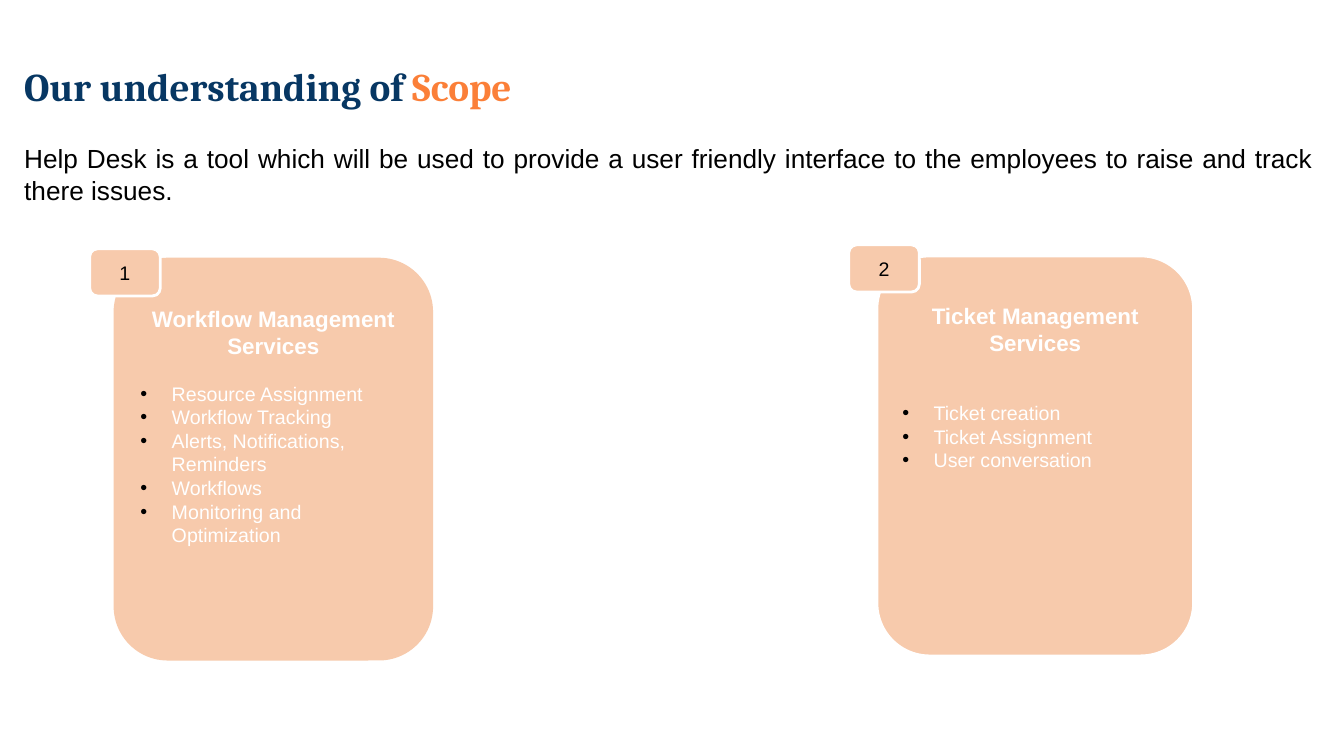
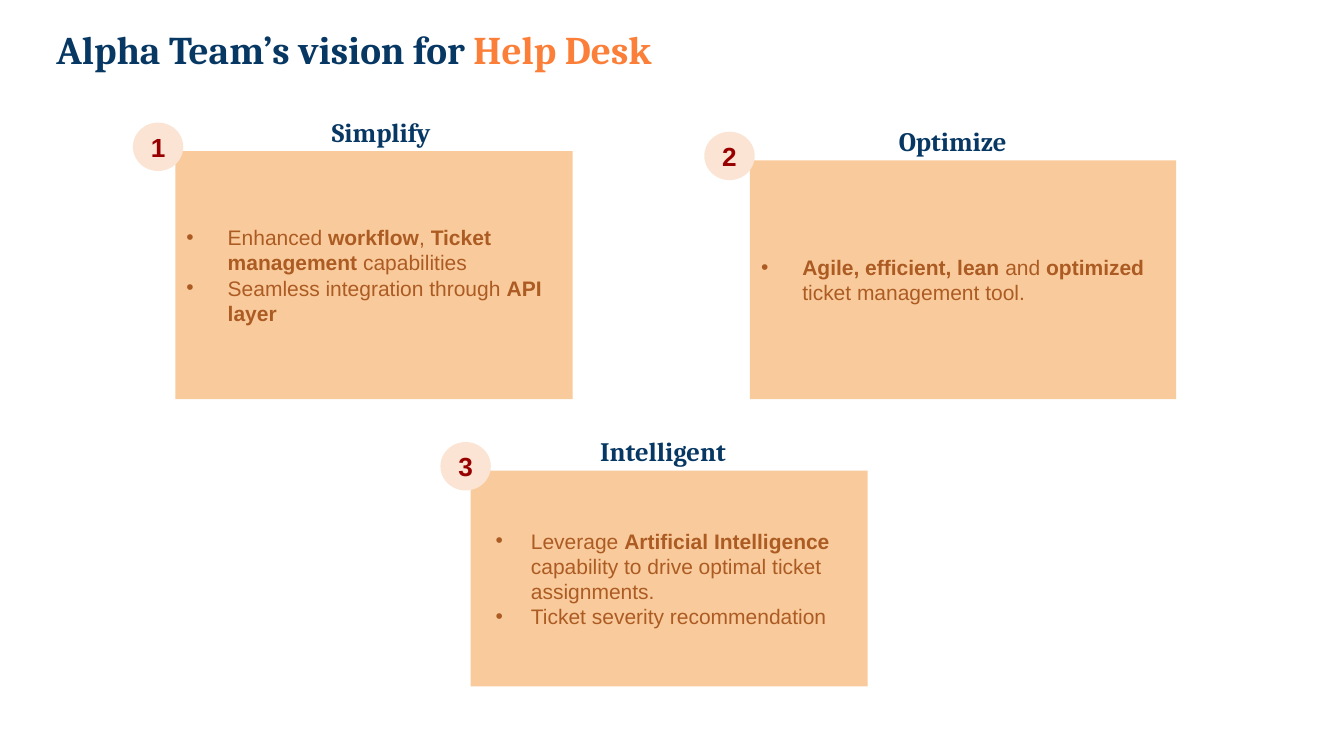
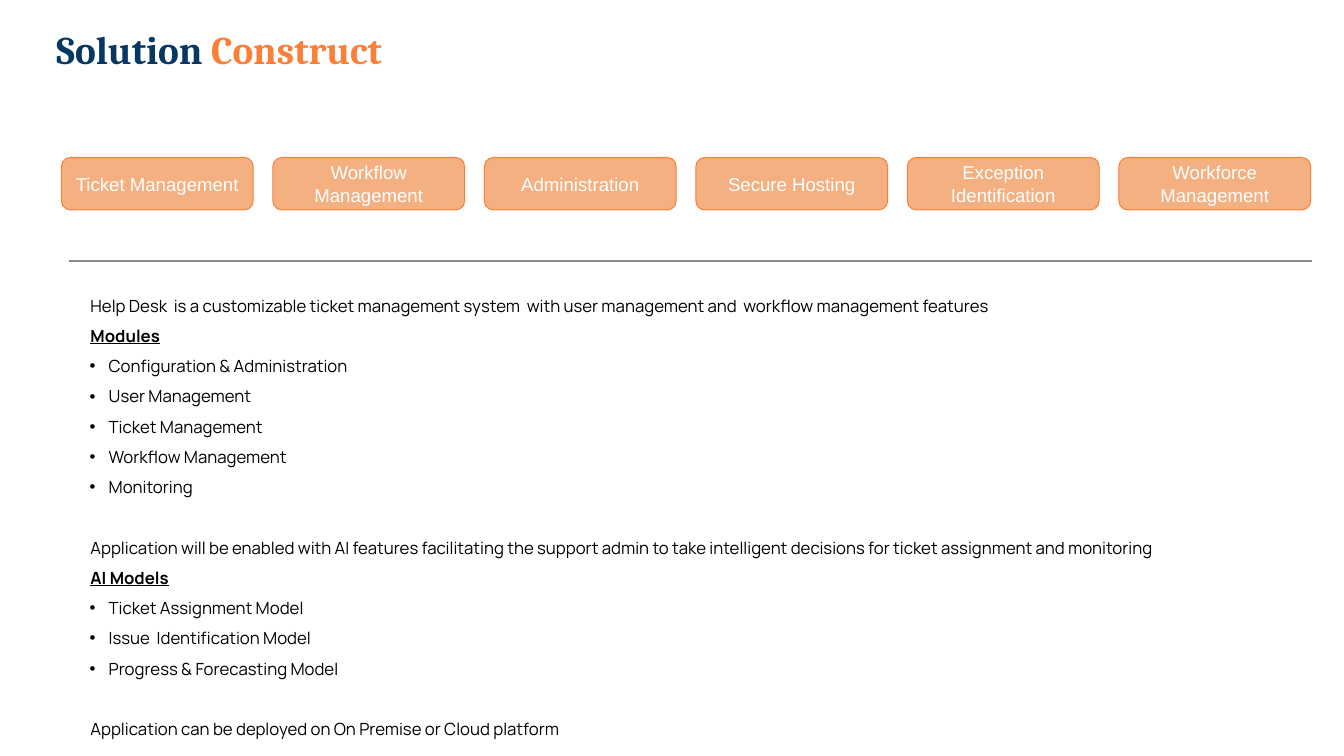
from dataclasses import dataclass
from lxml.etree import SubElement
from pptx import Presentation
from pptx.dml.color import RGBColor
from pptx.enum.shapes import MSO_CONNECTOR, MSO_SHAPE
from pptx.enum.text import MSO_ANCHOR, MSO_AUTO_SIZE, PP_ALIGN
from pptx.oxml.ns import qn
from pptx.util import Cm, Pt


@dataclass(frozen=True)
class Theme:
    navy: str = "073763"
    orange: str = "FB7F38"
    peach: str = "F7CAAC"
    sand: str = "F9CB9C"
    chip: str = "F4B081"
    blush: str = "FBE4D4"
    brown: str = "AC5B23"
    red: str = "980000"
    gray: str = "8C8C8C"
    black: str = "000000"
    white: str = "FFFFFF"
    serif: str = "Cambria"
    sans: str = "Arial"
    modern: str = "Manrope"
    title: float = 28
    head: float = 19
    lead: float = 18.7
    card: float = 16
    point: float = 15
    item: float = 14
    label: float = 13.3
    note: float = 12


T = Theme()
LEFT, MID, FULL = PP_ALIGN.LEFT, PP_ALIGN.CENTER, PP_ALIGN.JUSTIFY
TITLE = dict(name=T.serif, size=T.title, color=T.navy, bold=True,
             mark=dict(color=T.orange))
LEAD = dict(size=T.lead, alignment=FULL)
HEAD = dict(name=T.serif, size=T.head, color=T.navy, bold=True, alignment=MID)
CARD = dict(size=T.card, color=T.white, bold=True, alignment=MID)
ITEM = dict(size=T.item, color=T.white, bullet=T.black, indent=0.79, hang=0.79)
POINT = dict(size=T.point, color=T.brown, bullet=T.brown, indent=1.07, hang=1.04)
TAG = dict(size=T.item, alignment=MID)
DOT = dict(size=T.lead, color=T.red, bold=True, alignment=MID)
CHIP = dict(size=T.label, color=T.white, alignment=MID)
NOTE = dict(name=T.modern, size=T.note, alignment=FULL, line_spacing=1.5, indent=0.43)
SUB = NOTE | dict(bold=True, underline=True)
LIST = NOTE | dict(bullet=T.black, indent=0.89, hang=0.48)


def apply(target, values):
    for key, value in values.items():
        setattr(target, key, value)


def rgb(code):
    return RGBColor.from_string(code)


class Deck:
    def __init__(self):
        self.prs = Presentation()
        apply(self.prs, dict(slide_width=Cm(33.87), slide_height=Cm(19.05)))

    def page(self, layout, title, x, y):
        self.slide = self.prs.slides.add_slide(self.prs.slide_layouts[layout])
        self.place(self.slide.shapes.title, (x, y, 31.7, 1.5))
        self.fill(self.slide.shapes.title, [(title, TITLE)])

    def place(self, shape, box):
        names = ("left", "top", "width", "height")
        apply(shape, dict(zip(names, map(Cm, box))))

    def add(self, para, text, look):
        piece = para.add_run()
        piece.text = text
        font = piece.font
        apply(font, dict(name=look.get("name", T.sans), size=Pt(look["size"]),
                         bold=look.get("bold", False),
                         underline=look.get("underline", False)))
        font.color.rgb = rgb(look.get("color", T.black))

    def bullet(self, para, look):
        props = para._p.get_or_add_pPr()
        props.set("marL", str(Cm(look.get("indent", 0))))
        props.set("indent", str(-Cm(look.get("hang", 0))))
        if "bullet" in look:
            color = SubElement(props, qn("a:buClr"))
            SubElement(color, qn("a:srgbClr"), val=look["bullet"])
            SubElement(props, qn("a:buFont"), typeface=T.sans)
            SubElement(props, qn("a:buChar"), char="•")
        else:
            SubElement(props, qn("a:buNone"))

    def fill(self, shape, lines, anchor=MSO_ANCHOR.TOP, top=0.13):
        frame = shape.text_frame
        apply(frame, dict(word_wrap=True, auto_size=MSO_AUTO_SIZE.NONE,
                          vertical_anchor=anchor, margin_left=Cm(0.25),
                          margin_right=Cm(0.25), margin_top=Cm(top),
                          margin_bottom=Cm(0.13)))
        for i, (text, look) in enumerate(lines):
            para = frame.add_paragraph() if i else frame.paragraphs[0]
            apply(para, dict(alignment=look.get("alignment", LEFT),
                             line_spacing=look.get("line_spacing", 1.0),
                             space_before=Pt(look.get("before", 0)),
                             space_after=Pt(0)))
            self.bullet(para, look)
            for j, part in enumerate(text.split("*")):
                if part:
                    extra = look.get("mark", dict(bold=True)) if j % 2 else {}
                    self.add(para, part, look | extra)

    def body(self, box, lines, anchor=MSO_ANCHOR.TOP):
        shape = self.slide.placeholders[1]
        self.place(shape, box)
        self.fill(shape, lines, anchor)

    def label(self, box, text, look):
        shape = self.slide.shapes.add_textbox(*map(Cm, box))
        self.fill(shape, [(text, look)])

    def block(self, kind, box, color, lines, line=None, width=2,
              anchor=MSO_ANCHOR.MIDDLE, top=0.13):
        shape = self.slide.shapes.add_shape(kind, *map(Cm, box))
        shape.shadow.inherit = False
        shape.fill.solid()
        shape.fill.fore_color.rgb = rgb(color)
        if line:
            shape.line.color.rgb = rgb(line)
            shape.line.width = Pt(width)
        else:
            shape.line.fill.background()
        self.fill(shape, lines, anchor, top)

    def rule(self, x, y, end):
        line = self.slide.shapes.add_connector(
            MSO_CONNECTOR.STRAIGHT, Cm(x), Cm(y), Cm(end), Cm(y))
        line.line.color.rgb = rgb(T.gray)
        line.line.width = Pt(1)
        SubElement(line._element.spPr, qn("a:effectLst"))

    def card(self, num, x, y, tag, edge, title, gap, items):
        first, *rest = items
        lines = [(title, CARD), (first, ITEM | dict(before=gap))]
        lines += [(text, ITEM) for text in rest]
        kind = MSO_SHAPE.ROUNDED_RECTANGLE
        self.block(kind, (x, y, 7.98, 10.08), T.peach, lines, edge,
                   anchor=MSO_ANCHOR.TOP, top=0.78)
        self.block(kind, (*tag, 1.78, 1.19), T.peach, [(num, TAG)], T.white)

    def panel(self, num, box, dot, mid, title, look, points):
        y = box[1]
        self.block(MSO_SHAPE.RECTANGLE, box, T.sand, [(text, look) for text in points])
        self.label((mid - 4, y - 1.03, 8, 1.07), title, HEAD)
        self.block(MSO_SHAPE.FLOWCHART_CONNECTOR, (dot, y - 0.72, 1.27, 1.22),
                   T.blush, [(num, DOT)])


def scope(deck):
    deck.page(1, "Our understanding of *Scope*", 0.36, 1.45)
    deck.body((0.36, 3.02, 32.97, 2.74), [(
        "Help Desk is a tool which will be used to provide a user friendly "
        "interface to the employees to raise and track there issues.", LEAD)],
        MSO_ANCHOR.MIDDLE)
    deck.card("1", 2.9, 6.53, (2.26, 6.27), T.peach,
              "Workflow Management Services", 16.1,
              ["Resource Assignment", "Workflow Tracking",
               "Alerts, Notifications, Reminders", "Workflows",
               "Monitoring and Optimization"])
    deck.card("2", 22.1, 6.45, (21.39, 6.17), T.white,
              "Ticket Management Services", 32.2,
              ["Ticket creation", "Ticket Assignment", "User conversation"])


def vision(deck):
    deck.page(5, "Alpha Team’s vision for *Help Desk*", 1.17, 0.51)
    deck.panel("1", (4.42, 3.81, 10.01, 6.25), 3.35, 9.61, "Simplify", POINT,
               ["Enhanced *workflow*, *Ticket management *capabilities",
                "Seamless integration through *API layer*"])
    deck.panel("2", (18.9, 4.04, 10.74, 6.02), 17.75, 24.01, "Optimize", POINT,
               ["*Agile, efficient, lean *and *optimized *ticket management tool."])
    deck.panel("3", (11.86, 11.86, 10.01, 5.44), 11.1, 16.71, "Intelligent",
               POINT | dict(indent=1.27, hang=0.89),
               ["Leverage *Artificial Intelligence *capability to drive "
                "optimal ticket assignments.", "Ticket severity recommendation"])


def build(deck):
    deck.page(1, "Solution *Construct*", 1.17, 0.51)
    names = ["Ticket Management", "Workflow Management", "Administration",
             "Secure Hosting", "Exception Identification", "Workforce Management"]
    for i, name in enumerate(names):
        deck.block(MSO_SHAPE.ROUNDED_RECTANGLE, (1.55 + i * 5.33, 3.97, 4.83, 1.32),
                   T.chip, [(name, CHIP)], T.orange, 0.75)
    deck.rule(1.75, 6.58, 33.07)
    gap = NOTE | dict(before=21.6)
    mods = ["Configuration & Administration", "User Management",
            "Ticket Management", "Workflow Management", "Monitoring"]
    models = ["Ticket Assignment Model", "Issue  Identification Model",
              "Progress & Forecasting Model"]
    deck.body((1.6, 7.06, 31.47, 11.53), [
        ("Help Desk  is a customizable ticket management system  with user "
         "management and  workflow management features", NOTE),
        ("Modules", SUB),
        *((text, LIST) for text in mods),
        ("Application will be enabled with AI features facilitating the support "
         "admin to take intelligent decisions for ticket assignment and monitoring", gap),
        ("AI Models", SUB),
        *((text, LIST) for text in models),
        ("Application can be deployed on On Premise or Cloud platform", gap)])


def main():
    deck = Deck()
    for draw in (scope, vision, build):
        draw(deck)
    deck.prs.save("out.pptx")


if __name__ == "__main__":
    main()
